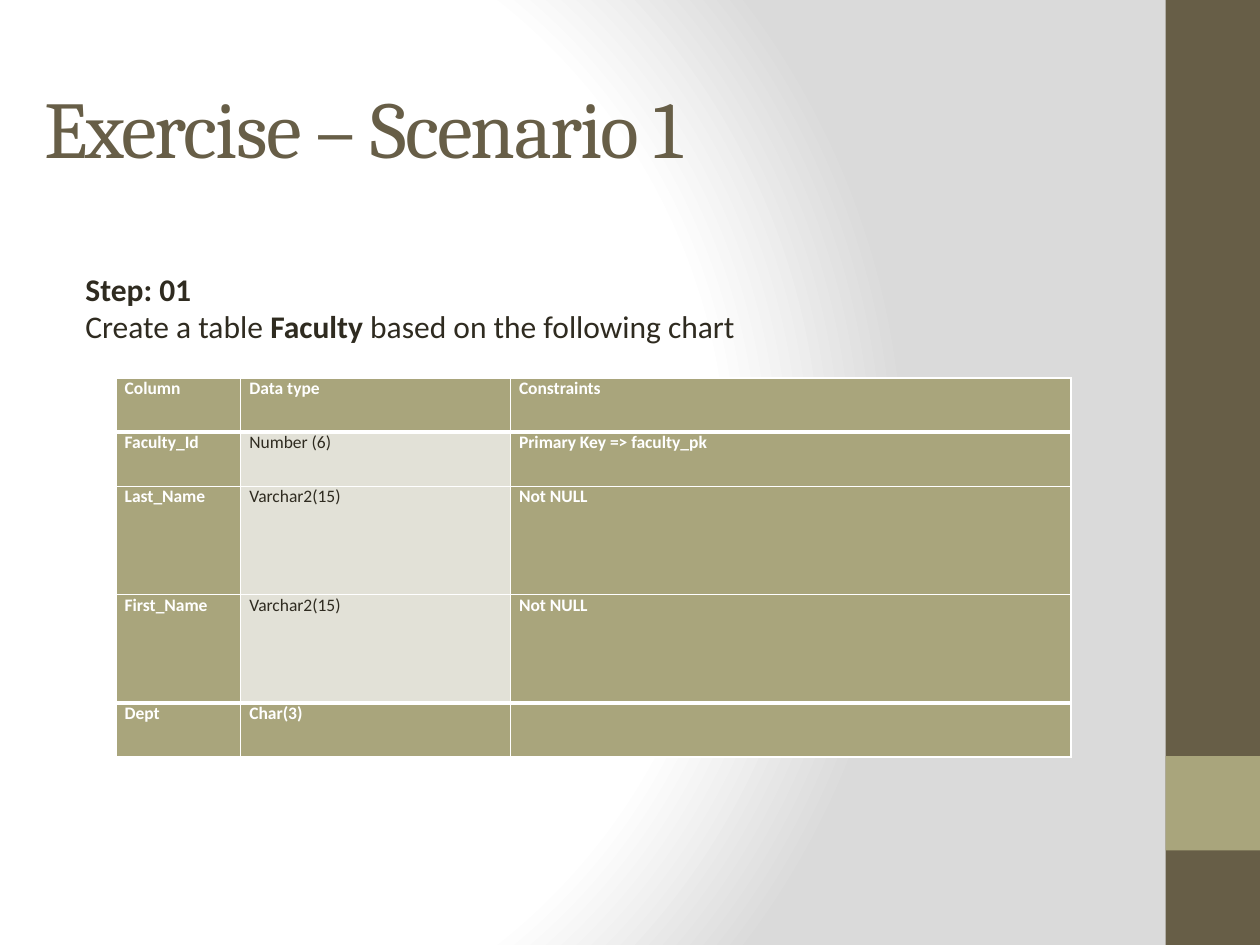
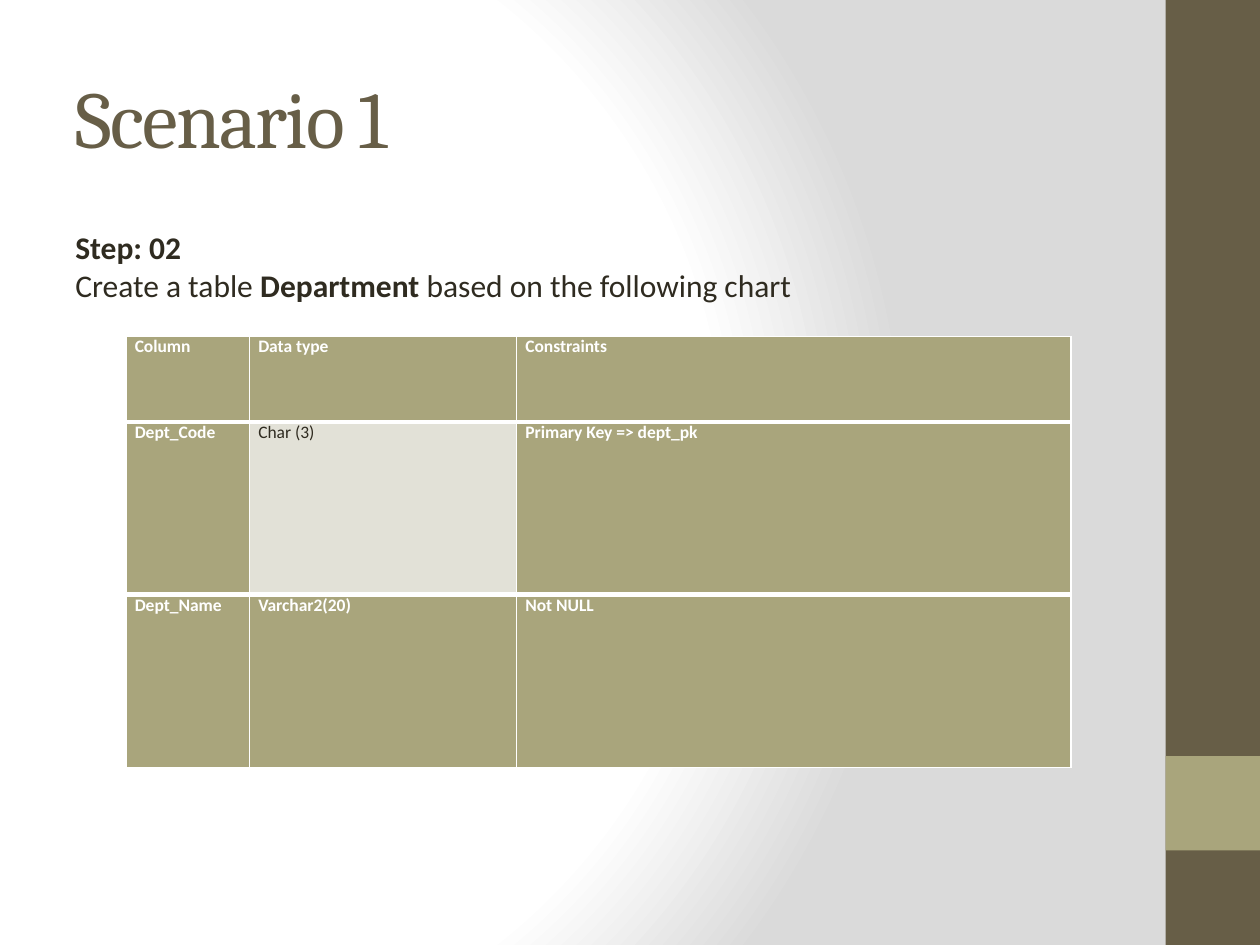
from lxml import etree
from pptx import Presentation
from pptx.dml.color import RGBColor
from pptx.enum.shapes import MSO_SHAPE
from pptx.enum.text import MSO_ANCHOR, MSO_AUTO_SIZE, PP_ALIGN
from pptx.oxml import parse_xml
from pptx.oxml.ns import nsdecls, qn
from pptx.util import Inches, Pt

RECTANGLE = MSO_SHAPE.RECTANGLE
LEFT, JUSTIFY = PP_ALIGN.LEFT, PP_ALIGN.JUSTIFY
MIDDLE = MSO_ANCHOR.MIDDLE
FIT_SHAPE, NO_FIT = MSO_AUTO_SIZE.SHAPE_TO_FIT_TEXT, MSO_AUTO_SIZE.NONE

BROWN, OLIVE, PALE, INK, WHITE = "675E47", "A9A57C", "E2E1D7", "2F2B20", "FFFFFF"
BANDS = [(0, 7.5, BROWN), (6, 0.75, OLIVE)]  # top, height, colour
HEADINGS = ["Column", "Data type", "Constraints"]

PAGES = [
    {
        "title": "Exercise – Scenario 1",
        "title_at": (0.25, 0.38, 8.33, 1.25),
        "step": "Step: 01",
        "table_name": "Faculty",
        "step_at": (0.58, 2.09, 7.17, 0.71),
        "table_at": (0.92, 3, 7.58, 3),
        "widths": [0.99, 2.14, 4.45],
        "heights": [0.43, 0.43, 0.86, 0.86, 0.43],
        "rows": [
            ["Faculty_Id", "Number (6)", "Primary Key => faculty_pk"],
            ["Last_Name", "Varchar2(15)", "Not NULL"],
            ["First_Name", "Varchar2(15)", "Not NULL"],
            ["Dept", "Char(3)", ""],
        ],
    },
    {
        "title": "Scenario 1",
        "title_at": (0.5, 0.3, 8.33, 1.25),
        "step": "Step: 02",
        "table_name": "Department",
        "step_at": (0.5, 1.76, 8.33, 0.71),
        "table_at": (1, 2.67, 7.5, 3.42),
        "widths": [0.98, 2.12, 4.4],
        "heights": [0.68, 1.37, 1.37],
        "rows": [
            ["Dept_Code", "Char (3)", "Primary Key => dept_pk"],
            ["Dept_Name", "Varchar2(20)", "Not NULL"],
        ],
    },
]


def write(para, text, size=18, color=INK, bold=False, font="Calibri", align=LEFT):
    para.alignment = align
    span = para.add_run()
    span.text = text
    span.font.name, span.font.size, span.font.bold = font, Pt(size), bold
    span.font.color.rgb = RGBColor.from_string(color)
    return span


def set_borders(cell, **widths):
    properties = cell._tc.get_or_add_tcPr()
    for index, (side, width) in enumerate(widths.items()):
        line = etree.Element(qn(f"a:ln{side}"), w=str(Pt(width)))
        fill = etree.SubElement(line, qn("a:solidFill"))
        etree.SubElement(fill, qn("a:srgbClr"), val=WHITE)
        properties.insert(index, line)


deck = Presentation()
deck.slide_width, deck.slide_height = Inches(10), Inches(7.5)

# Shared background: circular gradient on the master
master = deck.slide_master
master.background.fill.gradient()
gradient = master.element.find(".//" + qn("a:gradFill"))
stops = "".join(
    f'<a:gs pos="{place * 1000}"><a:srgbClr val="{color}"/></a:gs>'
    for place, color in [(0, WHITE), (75, WHITE), (100, "DADADA")]
)
gradient.getparent().replace(gradient, parse_xml(
    f'<a:gradFill {nsdecls("a")} rotWithShape="1"><a:gsLst>{stops}</a:gsLst>'
    '<a:path path="circle"><a:fillToRect l="20000" t="50000" r="100000" b="50000"/>'
    "</a:path></a:gradFill>"
))

for content in PAGES:
    page = deck.slides.add_slide(deck.slide_layouts[5])

    # Side bands
    for top, height, color in BANDS:
        band = page.shapes.add_shape(
            RECTANGLE, Inches(9.25), Inches(top), Inches(0.75), Inches(height))
        band.shadow.inherit = False
        band.fill.solid()
        band.fill.fore_color.rgb = RGBColor.from_string(color)
        band.line.fill.background()

    # Title
    title = page.shapes.title
    title.left, title.top, title.width, title.height = map(Inches, content["title_at"])
    title.text_frame.auto_size = NO_FIT
    title.text_frame.vertical_anchor = MIDDLE
    span = write(title.text_frame.paragraphs[0], content["title"],
                 size=46, color=BROWN, font="Cambria")
    span.font._element.set("spc", "-100")

    # Table
    rows = [HEADINGS] + content["rows"]
    last = len(rows) - 1
    table = page.shapes.add_table(
        len(rows), len(HEADINGS), *map(Inches, content["table_at"])).table
    for column, width in zip(table.columns, content["widths"]):
        column.width = Inches(width)
    for row, height in zip(table.rows, content["heights"]):
        row.height = Inches(height)
    for r, values in enumerate(rows):
        for c, value in enumerate(values):
            cell = table.cell(r, c)
            plain = c == 1 and 0 < r < last
            cell.margin_left = cell.margin_right = Inches(0.07)
            cell.margin_top = cell.margin_bottom = 0
            cell.fill.solid()
            cell.fill.fore_color.rgb = RGBColor.from_string(PALE if plain else OLIVE)
            # Heavy rules below the heading row and above the last row
            set_borders(cell, L=1, R=1, T=3 if r in (1, last) else 1,
                        B=3 if r in (0, last - 1) else 1)
            if value:
                write(cell.text_frame.paragraphs[0], value, size=10, align=JUSTIFY,
                      color=INK if plain else WHITE, bold=not plain)

    # Step instructions
    box = page.shapes.add_textbox(*map(Inches, content["step_at"]))
    frame = box.text_frame
    frame.word_wrap = True
    frame.auto_size = FIT_SHAPE
    write(frame.paragraphs[0], content["step"], bold=True)
    para = frame.add_paragraph()
    write(para, "Create a table ")
    write(para, content["table_name"], bold=True)
    write(para, " based on the following chart")

deck.save("out.pptx")
